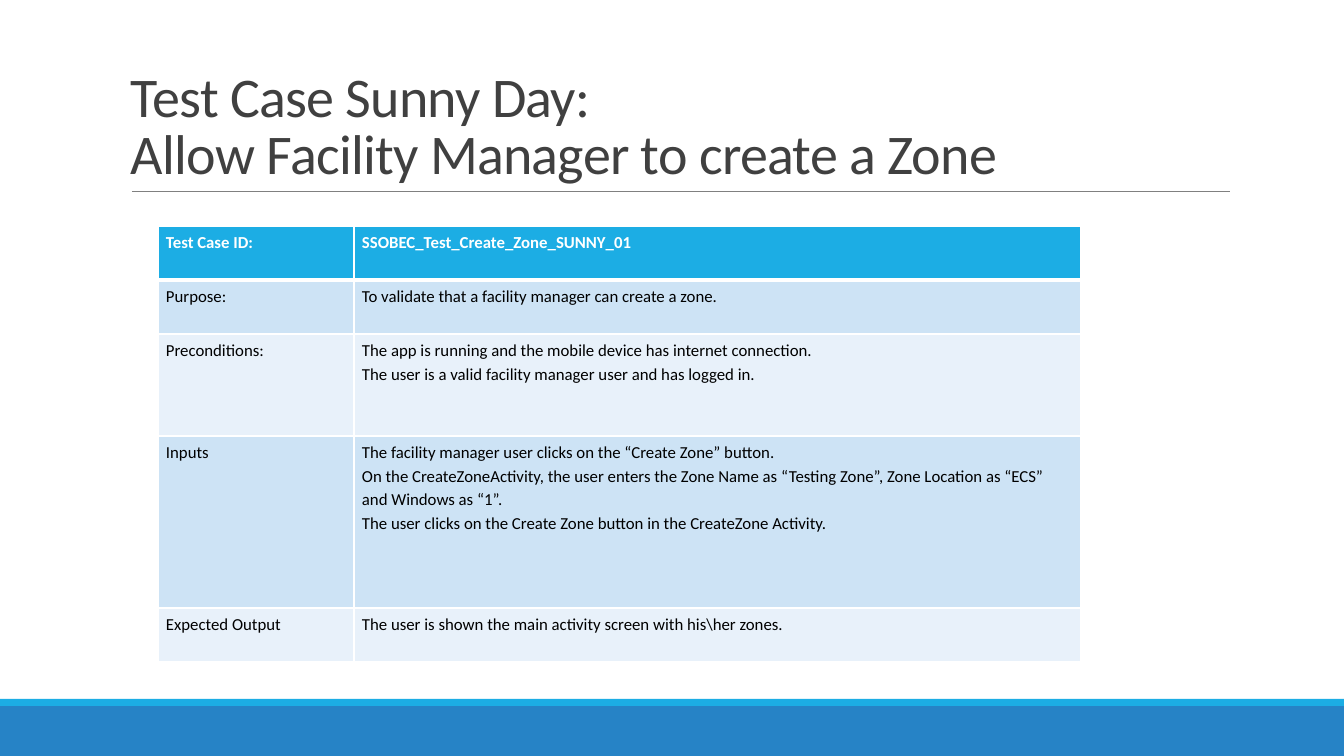
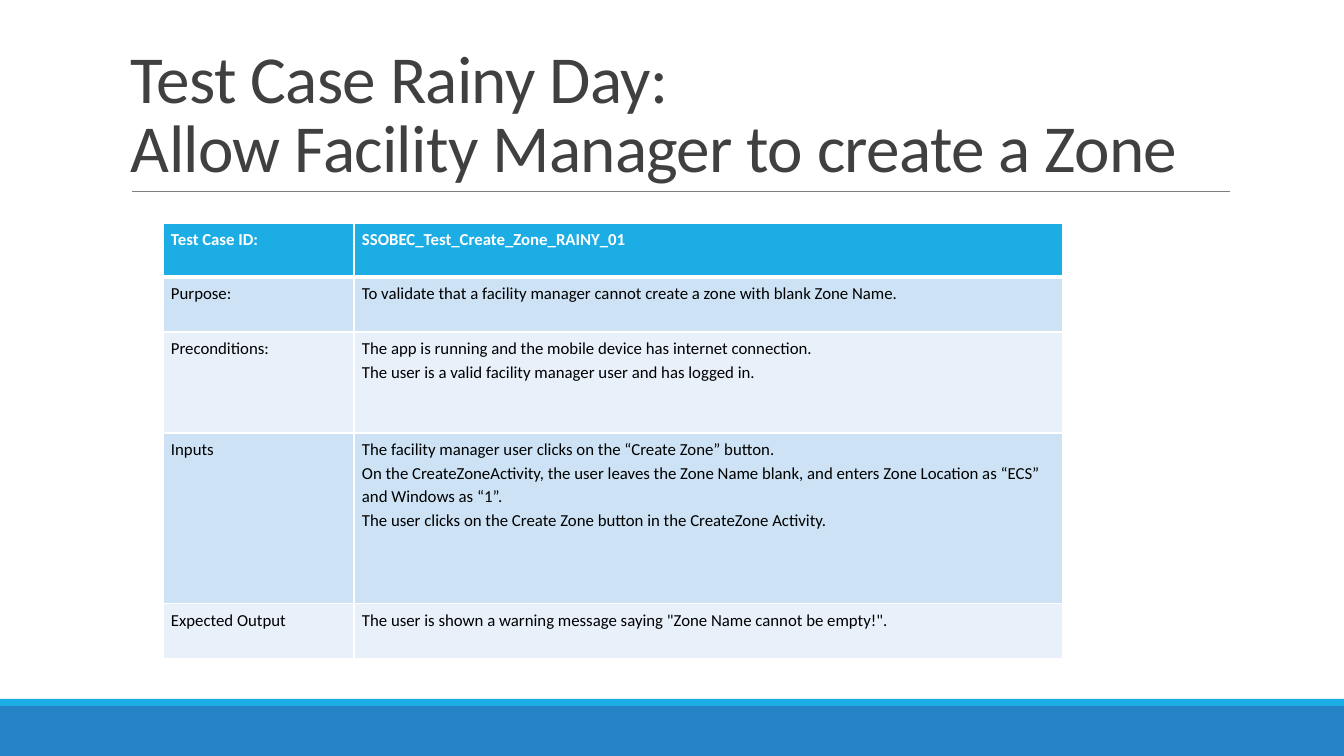
from lxml.etree import SubElement
from pptx import Presentation
from pptx.dml.color import RGBColor
from pptx.enum.shapes import MSO_CONNECTOR, MSO_SHAPE
from pptx.enum.text import MSO_ANCHOR, PP_ALIGN
from pptx.oxml.ns import qn
from pptx.util import Emu, Pt

WIDTH, HEIGHT = 1344, 756
FONT = "Calibri"
BLUE, CYAN = "2683C6", "1CADE4"
DARK, GREY, BLACK, WHITE = "404040", "808080", "000000", "FFFFFF"
STRIPES = ["CDE3F5", "E8F1FA"]
LABELS = ["Test Case ID:", "Purpose:", "Preconditions:", "Inputs", "Expected Output"]
PRECONDITIONS = (
    "The app is running and the mobile device has internet connection.\n"
    "The user is a valid facility manager user and has logged in."
)
INPUTS = (
    "The facility manager user clicks on the “Create Zone” button.\n"
    "On the CreateZoneActivity, the user {} and Windows as “1”.\n"
    "The user clicks on the Create Zone button in the CreateZone Activity."
)
CASES = [
    dict(
        day="Sunny", size=40, left=158, top=226,
        cols=[196, 727], rows=[54, 54, 102, 172, 54],
        values=[
            "SSOBEC_Test_Create_Zone_SUNNY_01",
            "To validate that a facility manager can create a zone.",
            PRECONDITIONS,
            INPUTS.format("enters the Zone Name as “Testing Zone”, Zone Location as “ECS”"),
            "The user is shown the main activity screen with his\\her zones.",
        ],
    ),
    dict(
        day="Rainy", size=48, left=163, top=223,
        cols=[191, 709], rows=[54, 55, 101, 171, 55],
        values=[
            "SSOBEC_Test_Create_Zone_RAINY_01",
            "To validate that a facility manager cannot create a zone with blank Zone Name.",
            PRECONDITIONS,
            INPUTS.format("leaves the Zone Name blank, and enters Zone Location as “ECS”"),
            'The user is shown a warning message saying "Zone Name cannot be empty!".',
        ],
    ),
]


def px(n):
    """Turn pixels into EMU."""
    return Emu(round(n * 12192000 / WIDTH))


def rgb(color):
    """Turn a hex string into a colour."""
    return RGBColor.from_string(color)


def write(tf, text, size=12, color=BLACK, bold=False, leading=1.15, tracking=0):
    """Fill a text frame with one paragraph per line of text."""
    tf.word_wrap = True
    for i, line in enumerate(text.split("\n")):
        p = tf.add_paragraph() if i else tf.paragraphs[0]
        p.alignment = PP_ALIGN.LEFT
        p.line_spacing = leading
        r = p.add_run()
        r.text = line
        r.font.name = FONT
        r.font.size = Pt(size)
        r.font.bold = bold
        r.font.color.rgb = rgb(color)
        if tracking:
            r._r.get_or_add_rPr().set("spc", str(round(tracking * 100)))


class Deck:
    """Hold the presentation, its style and the current slide."""

    def __init__(self):
        """Start an empty widescreen presentation."""
        self.prs = Presentation()
        self.prs.slide_width = px(WIDTH)
        self.prs.slide_height = px(HEIGHT)

    def slide(self, title, size):
        """Add a slide with its bands, rule and title."""
        self.s = self.prs.slides.add_slide(self.prs.slide_layouts[6])
        self.band(706, 50, BLUE)
        self.band(699, 7, CYAN)
        self.rule(132, 1230, 191)
        self.title(title, size)

    def band(self, top, height, color):
        """Add a full-width band."""
        sp = self.s.shapes.add_shape(MSO_SHAPE.RECTANGLE, 0, px(top), px(WIDTH), px(height))
        sp.shadow.inherit = False
        sp.fill.solid()
        sp.fill.fore_color.rgb = rgb(color)
        sp.line.fill.background()

    def rule(self, left, right, y):
        """Add a thin horizontal line."""
        line = self.s.shapes.add_connector(
            MSO_CONNECTOR.STRAIGHT, px(left), px(y), px(right), px(y))
        line.line.color.rgb = rgb(GREY)
        line.line.width = Pt(0.5)
        SubElement(line._element.spPr, qn("a:effectLst"))

    def title(self, text, size):
        """Add the title, standing on the rule."""
        tf = self.s.shapes.add_textbox(px(121), px(31), px(1109), px(160)).text_frame
        tf.vertical_anchor = MSO_ANCHOR.BOTTOM
        write(tf, text, size=size, color=DARK, leading=0.85, tracking=-0.5)

    def table(self, left, top, cols, rows, cells):
        """Add a striped table with a header row."""
        tbl = self.s.shapes.add_table(
            len(rows), len(cols), px(left), px(top), px(sum(cols)), px(sum(rows))).table
        for col, width in zip(tbl.columns, cols):
            col.width = px(width)
        for i, (height, texts) in enumerate(zip(rows, cells)):
            tbl.rows[i].height = px(height)
            for j, text in enumerate(texts):
                self.cell(tbl.cell(i, j), text, i)

    def cell(self, cell, text, row):
        """Format one table cell according to its row."""
        header = row == 0
        cell.margin_left = cell.margin_right = px(8)
        cell.margin_top = cell.margin_bottom = px(4)
        cell.vertical_anchor = MSO_ANCHOR.TOP
        self.border(cell, L=1, R=1, T=3 if row == 1 else 1, B=3 if header else 1)
        cell.fill.solid()
        cell.fill.fore_color.rgb = rgb(CYAN if header else STRIPES[(row - 1) % 2])
        write(cell.text_frame, text, color=WHITE if header else BLACK, bold=header)

    def border(self, cell, **widths):
        """Draw white cell borders of the given point widths."""
        tcPr = cell._tc.get_or_add_tcPr()
        for side, width in widths.items():
            ln = SubElement(tcPr, qn("a:ln" + side), w=str(Pt(width)))
            SubElement(SubElement(ln, qn("a:solidFill")), qn("a:srgbClr"), val=WHITE)


def main():
    """Build one slide per test case."""
    deck = Deck()
    for case in CASES:
        title = f"Test Case {case['day']} Day:\nAllow Facility Manager to create a Zone"
        deck.slide(title, case["size"])
        cells = list(zip(LABELS, case["values"]))
        deck.table(case["left"], case["top"], case["cols"], case["rows"], cells)
    deck.prs.save("out.pptx")


if __name__ == "__main__":
    main()
